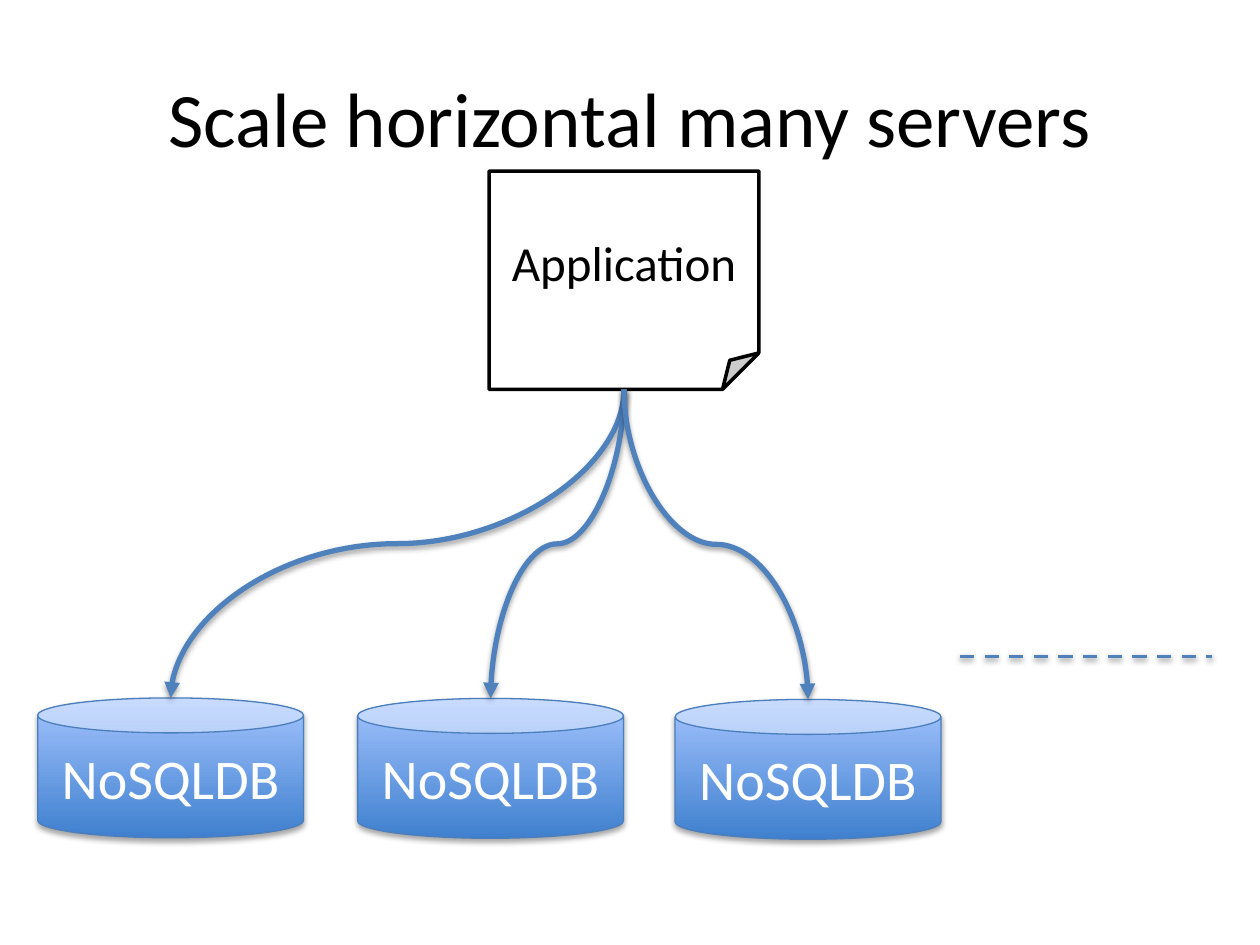
"""Build a slide showing one application spread over many NoSQL servers."""
from dataclasses import dataclass

from lxml.etree import SubElement
from pptx import Presentation
from pptx.dml.color import RGBColor
from pptx.enum.dml import MSO_LINE
from pptx.enum.shapes import MSO_CONNECTOR as Link, MSO_SHAPE as Preset
from pptx.enum.text import MSO_ANCHOR as Anchor, PP_ALIGN as Align
from pptx.oxml.ns import qn
from pptx.util import Cm, Pt

COLORS = {
    "ink": "000000",
    "paper": "FFFFFF",
    "can_dark": "3F80CE",
    "can_light": "A4C4FF",
    "can_line": "4B7EBC",
    "arrow": "4F81BD",
}
FONT = "Calibri"


@dataclass(frozen=True)
class Box:
    left: float
    top: float
    width: float
    height: float

    @property
    def center(self) -> float:
        return self.left + self.width / 2

    @property
    def bottom(self) -> float:
        return self.top + self.height

    def lengths(self) -> tuple:
        return Cm(self.left), Cm(self.top), Cm(self.width), Cm(self.height)


TITLE = Box(1.27, 0.76, 22.86, 3.18)
APPLICATION = Box(9.86, 3.45, 5.44, 4.4)
SERVERS = [Box(left, top, 5.36, 2.82)
           for left, top in ((0.76, 14.07), (7.21, 14.08), (13.61, 14.1))]


def color(name: str) -> RGBColor:
    return RGBColor.from_string(COLORS[name])


def write(shape, text: str, size: int, ink: str) -> None:
    frame = shape.text_frame
    frame.text = text
    frame.word_wrap = True
    frame.vertical_anchor = Anchor.MIDDLE
    para = frame.paragraphs[0]
    para.alignment = Align.CENTER
    para.font.name, para.font.size = FONT, Pt(size)
    para.font.color.rgb = color(ink)


def outline(shape, name: str, width: float) -> None:
    shape.line.color.rgb = color(name)
    shape.line.width = Pt(width)


def add_shadow(properties, distance: float, opacity: int) -> None:
    effects = properties.find(qn("a:effectLst"))
    if effects is None:
        effects = SubElement(properties, qn("a:effectLst"))
    shadow = SubElement(effects, qn("a:outerShdw"), blurRad=str(Pt(3.15)),
                        dist=str(Pt(distance)), dir="5400000", rotWithShape="0")
    black = SubElement(shadow, qn("a:srgbClr"), val=COLORS["ink"])
    SubElement(black, qn("a:alpha"), val=str(opacity * 1000))


def add_box(page, preset, box: Box, text: str, size: int, ink: str):
    shape = page.shapes.add_shape(preset, *box.lengths())
    shape.shadow.inherit = False
    write(shape, text, size, ink)
    return shape


def add_application(page) -> None:
    shape = add_box(page, Preset.FOLDED_CORNER, APPLICATION, "Application", 28, "ink")
    shape.fill.solid()
    shape.fill.fore_color.rgb = color("paper")
    outline(shape, "ink", 2)


def add_server(page, box: Box) -> None:
    can = add_box(page, Preset.CAN, box, "NoSQLDB", 32, "paper")
    can.fill.gradient()
    can.fill.gradient_angle = 90
    for stop, position, name in zip(can.fill.gradient_stops, (0, 1),
                                    ("can_dark", "can_light")):
        stop.position = position
        stop.color.rgb = color(name)
    outline(can, "can_line", 0.75)
    add_shadow(can._element.spPr, 1.8, 35)


def add_line(page, kind, start: tuple, end: tuple, width: float):
    line = page.shapes.add_connector(kind, *map(Cm, start + end))
    outline(line, "arrow", width)
    add_shadow(line._element.spPr, 1.6, 38)
    return line


def add_arrow(page, server: Box) -> None:
    """Draw a quarter-turned curve from the application down to a server."""
    run = server.center - APPLICATION.center
    drop = server.top - APPLICATION.bottom
    middle_x = APPLICATION.center + run / 2
    middle_y = APPLICATION.bottom + drop / 2
    start = (middle_x - drop / 2, middle_y - abs(run) / 2)
    end = (middle_x + drop / 2, middle_y + abs(run) / 2)
    arrow = add_line(page, Link.CURVE, start, end, 3)
    frame = arrow._element.spPr.find(qn("a:xfrm"))
    frame.set("rot", "5400000" if run < 0 else "16200000")
    if run > 0:
        frame.set("flipH", "1")
    SubElement(arrow.line._get_or_add_ln(), qn("a:tailEnd"), type="triangle")


def main() -> None:
    deck = Presentation()
    deck.slide_width, deck.slide_height = Cm(25.4), Cm(19.05)
    page = deck.slides.add_slide(deck.slide_layouts[5])
    title = page.shapes.title
    title.left, title.top, title.width, title.height = TITLE.lengths()
    write(title, "Scale horizontal many servers", 44, "ink")
    add_application(page)
    for server in SERVERS:
        add_server(page, server)
    more = add_line(page, Link.STRAIGHT, (19.35, 13.23), (24.43, 13.23), 2)
    more.line.dash_style = MSO_LINE.DASH
    for server in SERVERS:
        add_arrow(page, server)
    deck.save("out.pptx")


if __name__ == "__main__":
    main()
